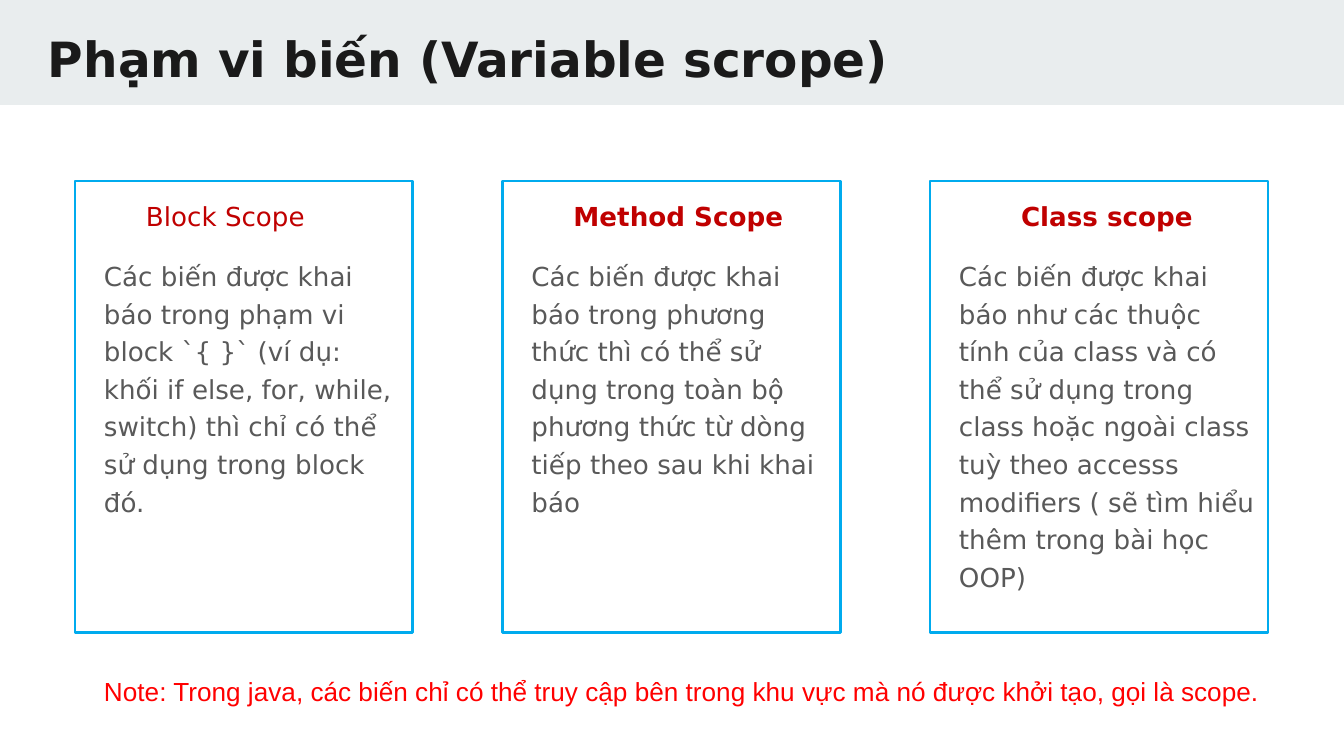
from dataclasses import dataclass

from pptx import Presentation
from pptx.dml.color import RGBColor
from pptx.enum.shapes import MSO_SHAPE as Shape
from pptx.enum.text import MSO_ANCHOR as Anchor, PP_ALIGN as Align
from pptx.util import Pt

EMU_PER_PIXEL = 914400 / 134.4
COLORS = {
    "band": "E9EDEE", "title": "1A1A1A", "border": "00ABEE",
    "heading": "C00000", "body": "595959", "note": "FF0000",
}
MAIN_FONT = "DejaVu Sans"
INSET = 13
BODY_INDENT = 16
HEADING_INDENT = 58
CARD_LEFT, CARD_TOP, CARD_WIDTH, CARD_HEIGHT = 75, 181, 338, 452
LAST_CARD_LEFT = 930


@dataclass
class ScopeCard:
    heading: str
    body: str
    bold: bool = True
    centered: bool = False


CARDS = [
    ScopeCard("Block Scope",
              "Các biến được khai báo trong phạm vi block `{ }` (ví dụ: khối if else, "
              "for, while, switch) thì chỉ có thể sử dụng trong block đó.", bold=False),
    ScopeCard("Method Scope",
              "Các biến được khai báo trong phương thức thì có thể sử dụng trong toàn bộ "
              "phương thức từ dòng tiếp theo sau khi khai báo"),
    ScopeCard("Class scope",
              "Các biến được khai báo như các thuộc tính của class và có thể sử dụng trong "
              "class hoặc ngoài class tuỳ theo accesss modifiers ( sẽ tìm hiểu thêm trong "
              "bài học OOP)", centered=True),
]


def px(pixels: float) -> int:
    return round(pixels * EMU_PER_PIXEL)


def color(name: str) -> RGBColor:
    return RGBColor.from_string(COLORS[name])


def format_runs(paragraph, size: int, color_name: str, bold: bool = False,
                font_name: str = MAIN_FONT) -> None:
    for run in paragraph.runs:
        run.font.size = Pt(size)
        run.font.name = font_name
        run.font.bold = bold
        run.font.color.rgb = color(color_name)


def set_frame(frame, horizontal: int, vertical: int) -> None:
    frame.word_wrap = True
    frame.vertical_anchor = Anchor.TOP
    frame.margin_left = frame.margin_right = px(horizontal)
    frame.margin_top = frame.margin_bottom = px(vertical)


def add_rectangle(slide, left: float, top: int, width: int, height: int):
    shape = slide.shapes.add_shape(Shape.RECTANGLE, px(left), px(top), px(width), px(height))
    shape.shadow.inherit = False
    return shape


def add_label(slide, text: str, left: int, top: int, width: int, height: int,
              vertical_inset: int, **style) -> None:
    box = slide.shapes.add_textbox(px(left), px(top), px(width), px(height))
    set_frame(box.text_frame, INSET, vertical_inset)
    box.text_frame.text = text
    format_runs(box.text_frame.paragraphs[0], **style)


def add_card(slide, card: ScopeCard, left: float) -> None:
    shape = add_rectangle(slide, left, CARD_TOP, CARD_WIDTH, CARD_HEIGHT)
    shape.fill.background()
    shape.line.color.rgb = color("border")
    shape.line.width = Pt(1.5)

    frame = shape.text_frame
    set_frame(frame, INSET, INSET)
    frame.text = f"{card.heading}\n{card.body}"
    heading, body = frame.paragraphs
    heading_indent = BODY_INDENT if card.centered else HEADING_INDENT
    for paragraph, indent in ((heading, heading_indent), (body, BODY_INDENT)):
        paragraph.alignment = Align.LEFT
        paragraph.line_spacing = 1.2
        paragraph.space_before = paragraph.space_after = Pt(6)
        paragraph_properties = paragraph._p.get_or_add_pPr()
        paragraph_properties.set("marL", str(px(indent)))
        paragraph_properties.set("indent", "0")
    if card.centered:
        heading.alignment = Align.CENTER
    format_runs(heading, 14, "heading", card.bold)
    format_runs(body, 14, "body")


presentation = Presentation()
presentation.slide_width, presentation.slide_height = px(1344), px(756)
slide = presentation.slides.add_slide(presentation.slide_layouts[6])

# Title band
band = add_rectangle(slide, 0, 0, 1344, 105)
band.fill.solid()
band.fill.fore_color.rgb = color("band")
band.line.fill.background()
add_label(slide, "Phạm vi biến (Variable scrope)", 35, 16, 1280, 79, INSET,
          size=26, color_name="title", bold=True)

# Scope cards, evenly spaced
card_pitch = (LAST_CARD_LEFT - CARD_LEFT) / (len(CARDS) - 1)
for index, card in enumerate(CARDS):
    add_card(slide, card, CARD_LEFT + index * card_pitch)

# Closing note
add_label(slide, "Note: Trong java, các biến chỉ có thể truy cập bên trong khu vực mà nó "
          "được khởi tạo, gọi là scope.", 91, 668, 1215, 46, 7,
          size=14, color_name="note", font_name="Arial")

presentation.save("out.pptx")
